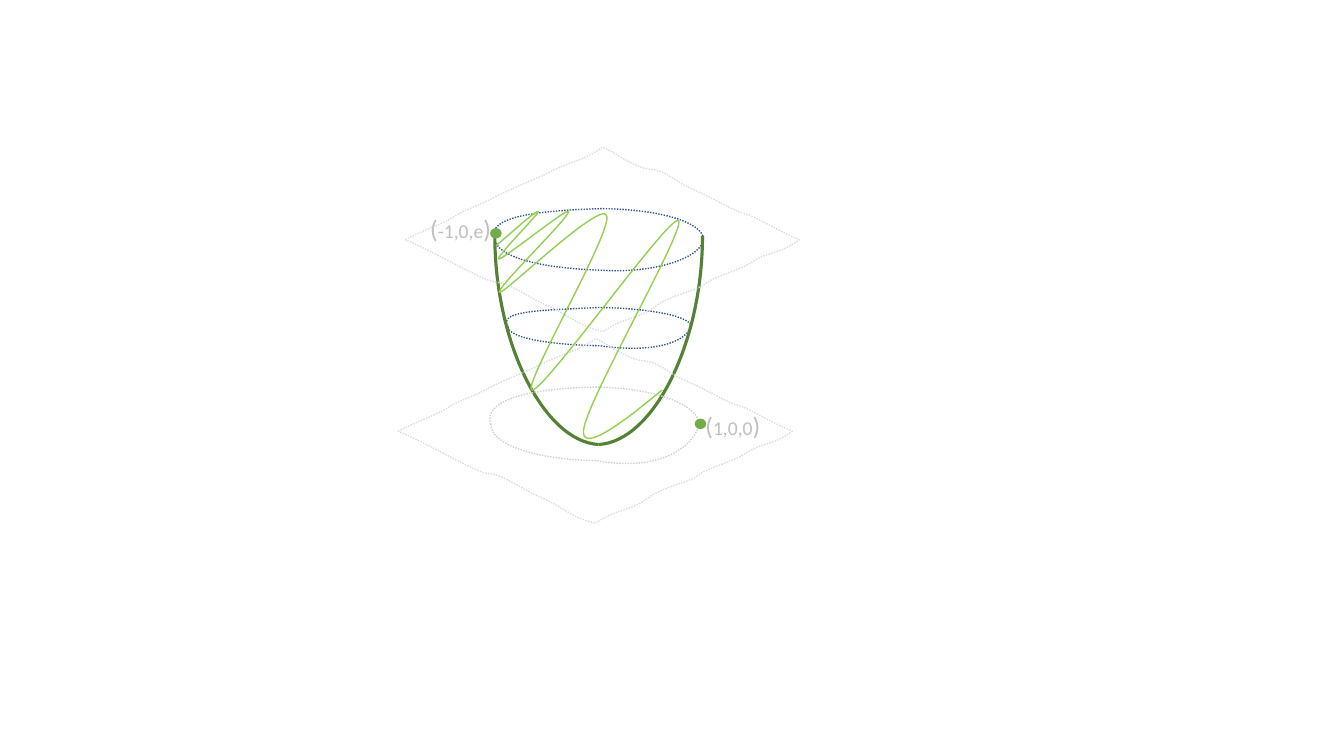
import copy

from pptx import Presentation
from pptx import util as u
from pptx.dml.color import RGBColor
from pptx.enum import dml, shapes, text
from pptx.oxml.ns import qn

THEME = {
    "ring": RGBColor.from_string("325491"),
    "bowl": RGBColor.from_string("548235"),
    "plane": RGBColor.from_string("D6DCE5"),
    "shadow": RGBColor.from_string("D0CECE"),
    "trace": RGBColor.from_string("92D050"),
    "dot": RGBColor.from_string("70AD47"),
    "label": RGBColor.from_string("BFBFBF"),
    "font": "Calibri",
    "bracket_size": u.Pt(18),
    "label_size": u.Pt(14),
}
CM_PER_UNIT = 2.54  # the drawing grid is 2.54 cm wide
DOTTED = dml.MSO_LINE.ROUND_DOT

presentation = Presentation()
presentation.slide_width, presentation.slide_height = u.Cm(33.87), u.Cm(19.05)
slide = presentation.slides.add_slide(presentation.slide_layouts[6])


def grid(*values):
    return [u.Cm(value * CM_PER_UNIT) for value in values]


def add_curve(start, segments, color, width=1, dash=None, shift=(0, 0)):
    """Draw Bezier segments, each given as two control points and an end."""
    def moved(x, y):
        return grid(x + shift[0], y + shift[1])

    ends = [moved(*segment[4:]) for segment in segments]
    builder = slide.shapes.build_freeform(*moved(*start))
    builder.add_line_segments(ends, close=segments[-1][4:] == start)
    shape = builder.convert_to_shape()
    shape.shadow.inherit = False
    shape.fill.background()
    shape.line.color.rgb = THEME[color]
    for name, value in {"width": u.Pt(width), "dash_style": dash}.items():
        setattr(shape.line, name, value)

    # Turn each straight step into a cubic one
    steps = list(shape._element.iter(qn("a:lnTo")))
    for step, segment in zip(steps, segments):
        step.tag = qn("a:cubicBezTo")
        end = step[0]
        for index in range(2):
            x, y = moved(*segment[2 * index:2 * index + 2])
            control = copy.deepcopy(end)
            control.set("x", str(x - shape.left))
            control.set("y", str(y - shape.top))
            step.insert(index, control)


# Rings around the bowl
add_curve((5.04, 3.24), [
    (4.94, 3.08, 5.36, 3.08, 5.95, 3.05),
    (6.47, 3.06, 6.85, 3.14, 6.86, 3.24),
    (6.78, 3.42, 6.44, 3.5, 5.95, 3.43),
    (5.43, 3.42, 5.04, 3.35, 5.04, 3.24),
], "ring", dash=DOTTED)
add_curve((4.91, 2.37), [
    (4.82, 2.15, 5.33, 2.09, 5.95, 2.07),
    (6.52, 2.07, 6.97, 2.2, 6.98, 2.37),
    (6.97, 2.55, 6.51, 2.72, 5.95, 2.68),
    (5.33, 2.66, 4.92, 2.54, 4.91, 2.37),
], "ring", dash=DOTTED)

# Bowl walls, mirrored about the axis
AXIS = 5.94
for side in (1, -1):
    rim = AXIS + side * 1.03
    add_curve((rim, 2.34), [
        (rim, 3.41, AXIS + side * 0.54, 4.38, AXIS, 4.41),
    ], "bowl", width=2.25)

# Lower plane and the ring's projection on it
PLANE_START = (3.95, 4.28)
PLANE = [
    (4.14, 4.18, 4.3, 4.13, 4.42, 4.06),
    (4.53, 3.98, 4.65, 3.96, 4.85, 3.85),
    (5.05, 3.75, 5.17, 3.71, 5.38, 3.61),
    (5.58, 3.5, 5.7, 3.51, 5.91, 3.36),
    (6.05, 3.42, 6.21, 3.56, 6.38, 3.58),
    (6.55, 3.59, 6.61, 3.7, 6.83, 3.79),
    (7.04, 3.88, 7.2, 3.99, 7.32, 4.02),
    (7.43, 4.05, 7.59, 4.16, 7.86, 4.28),
    (7.67, 4.42, 7.57, 4.39, 7.41, 4.49),
    (7.26, 4.59, 7.02, 4.64, 6.92, 4.72),
    (6.83, 4.79, 6.6, 4.82, 6.43, 4.94),
    (6.27, 5.07, 6.13, 5.04, 5.91, 5.19),
    (5.7, 5.15, 5.56, 5.02, 5.38, 4.94),
    (5.2, 4.87, 4.98, 4.7, 4.85, 4.7),
    (4.72, 4.69, 4.23, 4.39, 3.95, 4.28),
]
add_curve(PLANE_START, PLANE, "plane", dash=DOTTED)
add_curve((4.87, 4.21), [
    (4.78, 3.96, 5.3, 3.85, 5.91, 3.84),
    (6.5, 3.85, 6.92, 4.01, 6.94, 4.21),
    (6.85, 4.5, 6.46, 4.67, 5.91, 4.57),
    (5.31, 4.56, 4.87, 4.41, 4.87, 4.21),
], "shadow", dash=DOTTED)

# Upper plane
add_curve(PLANE_START, PLANE, "plane", dash=DOTTED, shift=(0.07, -1.9))

# Point labels
for left, top, width, coordinates in [(4.17, 2.07, 0.81, "-1,0,e"),
                                      (6.9, 4.02, 0.75, "1,0,0")]:
    box = slide.shapes.add_textbox(*grid(left, top, width, 0.4))
    frame = box.text_frame
    for name, value in {"word_wrap": False,
                        "auto_size": text.MSO_AUTO_SIZE.SHAPE_TO_FIT_TEXT}.items():
        setattr(frame, name, value)
    paragraph = frame.paragraphs[0]
    for words, size in [("(", "bracket_size"), (coordinates, "label_size"),
                        (")", "bracket_size")]:
        run = paragraph.add_run()
        run.text = words
        run.font.color.rgb = THEME["label"]
        for name, value in {"name": THEME["font"], "size": THEME[size]}.items():
            setattr(run.font, name, value)

# Trace swinging down the bowl
add_curve((4.92, 2.44), [
    (5.13, 2.26, 5.34, 2.07, 5.34, 2.1),
    (5.35, 2.12, 4.9, 2.57, 4.95, 2.57),
    (5, 2.57, 5.64, 2.05, 5.64, 2.1),
    (5.65, 2.16, 4.89, 2.89, 4.96, 2.9),
    (5.02, 2.9, 5.97, 1.98, 6.02, 2.14),
    (6.08, 2.3, 5.16, 3.87, 5.28, 3.87),
    (5.4, 3.88, 6.65, 2.12, 6.73, 2.19),
    (6.82, 2.25, 5.81, 3.99, 5.79, 4.27),
    (5.76, 4.56, 6.43, 3.98, 6.57, 3.87),
], "trace")

# Marked points
for left, top in [(4.87, 2.27), (6.9, 4.16)]:
    dot = slide.shapes.add_shape(shapes.MSO_SHAPE.OVAL, *grid(left, top, 0.1, 0.09))
    dot.shadow.inherit = False
    dot.fill.solid()
    dot.fill.fore_color.rgb = dot.line.color.rgb = THEME["dot"]
    dot.line.width = u.Pt(1)

presentation.save("out.pptx")
